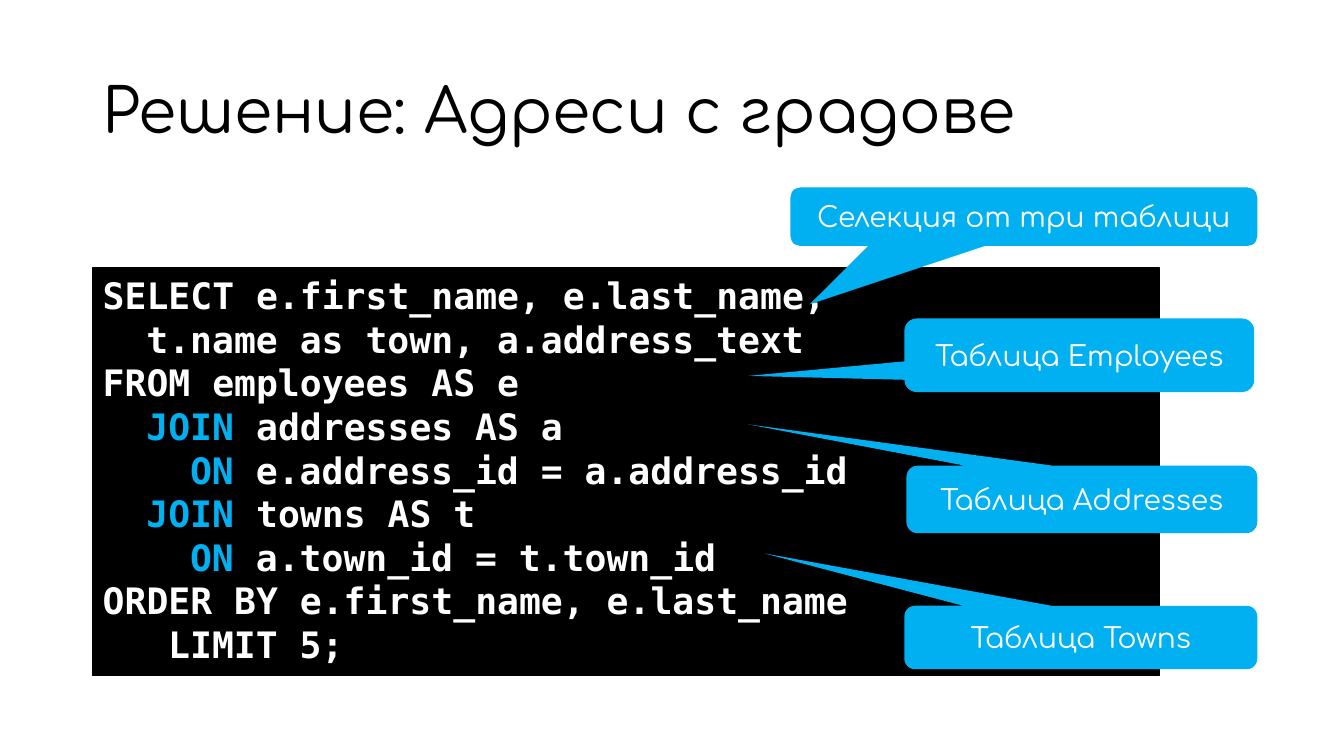
import pptx
import pptx.util
import pptx.dml.color
import pptx.enum.shapes
import pptx.enum.text

Inches, Pt = pptx.util.Inches, pptx.util.Pt
RGB = pptx.dml.color.RGBColor.from_string
Kind = pptx.enum.shapes.MSO_SHAPE
Align = pptx.enum.text.PP_ALIGN
Anchor = pptx.enum.text.MSO_ANCHOR

title = "Решение: Адреси с градове"
query = [
    (0, "", "SELECT e.first_name, e.last_name,"),
    (2, "", "t.name as town, a.address_text"),
    (0, "", "FROM employees AS e"),
    (2, "JOIN", " addresses AS a"),
    (4, "ON", " e.address_id = a.address_id"),
    (2, "JOIN", " towns AS t"),
    (4, "ON", " a.town_id = t.town_id"),
    (0, "", "ORDER BY e.first_name, e.last_name"),
    (3, "", "LIMIT 5;"),
]
notes = [
    ("Таблица Employees", (8.97, 3.16, 3.47, 0.73), (7.42, 3.73)),
    ("Таблица Towns", (8.97, 6.01, 3.5, 0.63), (7.58, 5.49)),
    ("Селекция от три таблици", (7.84, 1.86, 4.63, 0.58), (8.03, 3.02)),
    ("Таблица Addresses", (8.99, 4.62, 3.48, 0.67), (7.42, 4.21)),
]
theme = {
    "black": RGB("000000"),
    "white": RGB("FFFFFF"),
    "blue": RGB("00B0F0"),
    "title": {"name": "Comfortaa", "size": Pt(44)},
    "code": {"name": "DejaVu Sans Mono", "size": Pt(26), "bold": True},
    "note": {"name": "Comfortaa", "size": Pt(20)},
}
step = 0.6 * theme["code"]["size"]


def style(item, form):
    for key, val in form.items():
        setattr(item, key, val)


def write(para, text, kind, color):
    run = para.add_run()
    run.text = text
    style(run.font, theme[kind])
    run.font.color.rgb = theme[color]


def block(kind, box, color):
    shape = slide.shapes.add_shape(kind, *map(Inches, box))
    shape.shadow.inherit = False
    shape.fill.solid()
    shape.fill.fore_color.rgb = theme[color]
    shape.line.fill.background()
    shape.text_frame.word_wrap = True
    return shape


deck = pptx.Presentation()
style(deck, {"slide_width": Inches(13.33), "slide_height": Inches(7.5)})
slide = deck.slides.add_slide(deck.slide_layouts[6])

head = slide.shapes.add_textbox(*map(Inches, (0.92, 0.4, 11.5, 1.45))).text_frame
style(head, {"word_wrap": True, "vertical_anchor": Anchor.MIDDLE})
head.paragraphs[0].line_spacing = 0.9
write(head.paragraphs[0], title, "title", "black")

panel = block(Kind.RECTANGLE, (0.92, 2.66, 10.58, 4.04), "black")
panel.line.color.rgb = theme["black"]
panel.line.width = Pt(1)
code = panel.text_frame
code.vertical_anchor = Anchor.TOP
for row, (depth, word, rest) in enumerate(query):
    para = code.add_paragraph() if row else code.paragraphs[0]
    para.alignment = Align.LEFT
    props = para._p.get_or_add_pPr()
    props.set("marL", str(round(depth * step)))
    props.set("indent", "0")
    if word:
        write(para, word, "code", "blue")
    write(para, rest, "code", "white")

for text, box, tip in notes:
    left, top, wide, high = box
    note = block(Kind.ROUNDED_RECTANGULAR_CALLOUT, box, "blue")
    note.adjustments[0] = (tip[0] - left) / wide - 0.5
    note.adjustments[1] = (tip[1] - top) / high - 0.5
    note.text_frame.vertical_anchor = Anchor.MIDDLE
    para = note.text_frame.paragraphs[0]
    para.alignment = Align.CENTER
    write(para, text, "note", "white")

deck.save("out.pptx")
